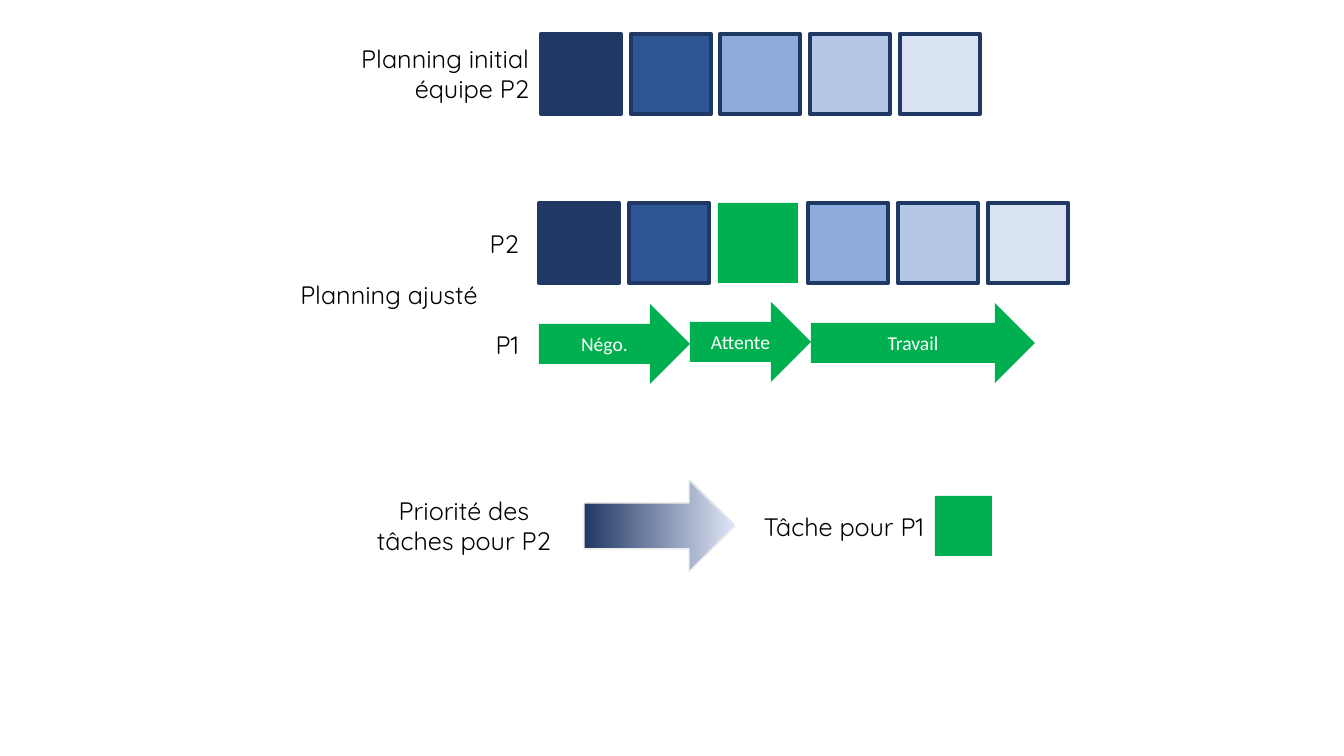
from pptx import Presentation
from pptx.dml.color import RGBColor
from pptx.enum.shapes import MSO_SHAPE
from pptx.enum.text import MSO_ANCHOR, PP_ALIGN
from pptx.util import Pt

RECT, ARROW = MSO_SHAPE.RECTANGLE, MSO_SHAPE.RIGHT_ARROW
CENTER, RIGHT = PP_ALIGN.CENTER, PP_ALIGN.RIGHT
MIDDLE = MSO_ANCHOR.MIDDLE
EMU_PER_PX = 914400 / 100.8
NAVY, GREEN = "203864", "00B050"
BLUES = [NAVY, "2F5597", "8FAADC", "B4C7E7", "DAE3F3"]
SQUARE, PITCH = 80, 89.7


def rgb(value):
    return RGBColor.from_string(value)


def box(kind, bounds, fill, outline=None, weight=3):
    item = slide.shapes.add_shape(kind, *[round(v * EMU_PER_PX) for v in bounds])
    item.shadow.inherit = False
    if fill:
        item.fill.solid()
        item.fill.fore_color.rgb = rgb(fill)
    if outline:
        item.line.color.rgb = rgb(outline)
        item.line.width = Pt(weight)
    else:
        item.line.fill.background()
    return item


prs = Presentation()
prs.slide_width = round(1344 * EMU_PER_PX)
prs.slide_height = round(756 * EMU_PER_PX)
slide = prs.slides.add_slide(prs.slide_layouts[6])

# Legend: priority arrow and P1 task
priority = box(ARROW, (584, 480, 151, 92), None, "EDEDED", 1)
priority.fill.gradient()
priority.fill.gradient_angle = 0
for stop, tone in zip(priority.fill.gradient_stops, [NAVY, "E0E5F7"]):
    stop.color.rgb = rgb(tone)
box(RECT, (935, 496, 57, 60), GREEN)

# Initial and adjusted task rows of team P2
adjusted = BLUES[:2] + [GREEN] + BLUES[2:]
for left, top, tasks in [(541, 34, BLUES), (539, 203, adjusted)]:
    for i, tone in enumerate(tasks):
        bounds = (round(left + i * PITCH), top, SQUARE, SQUARE)
        box(RECT, bounds, tone, None if tone == GREEN else NAVY)

# Phases of P1
for phase, left, top, width in [("Négo.", 539, 304, 151),
                                ("Attente", 690, 302, 121),
                                ("Travail", 811, 303, 224)]:
    frame = box(ARROW, (left, top, width, SQUARE), GREEN).text_frame
    frame.text = phase
    frame.vertical_anchor = MIDDLE
    frame.paragraphs[0].alignment = CENTER
    for key, value in {"name": "Calibri", "size": Pt(14)}.items():
        setattr(frame.paragraphs[0].font, key, value)
    frame.paragraphs[0].font.color.rgb = rgb("FFFFFF")

# Labels
for label, left, top, height, align in [
    ("Planning initial équipe P2", 315, 38, 72, RIGHT),
    ("P2", 305, 223, 40, RIGHT),
    ("Planning ajusté", 277, 274, 40, CENTER),
    ("P1", 305, 324, 40, RIGHT),
    ("Priorité des tâches pour P2", 352, 490, 72, CENTER),
    ("Tâche pour P1", 710, 506, 40, RIGHT),
]:
    bounds = [round(v * EMU_PER_PX) for v in (left, top, 224, height)]
    frame = slide.shapes.add_textbox(*bounds).text_frame
    frame.word_wrap = True
    frame.text = label
    frame.paragraphs[0].alignment = align
    for key, value in {"name": "Quicksand", "size": Pt(18)}.items():
        setattr(frame.paragraphs[0].font, key, value)
    frame.paragraphs[0].font.color.rgb = rgb("000000")

prs.save("out.pptx")
